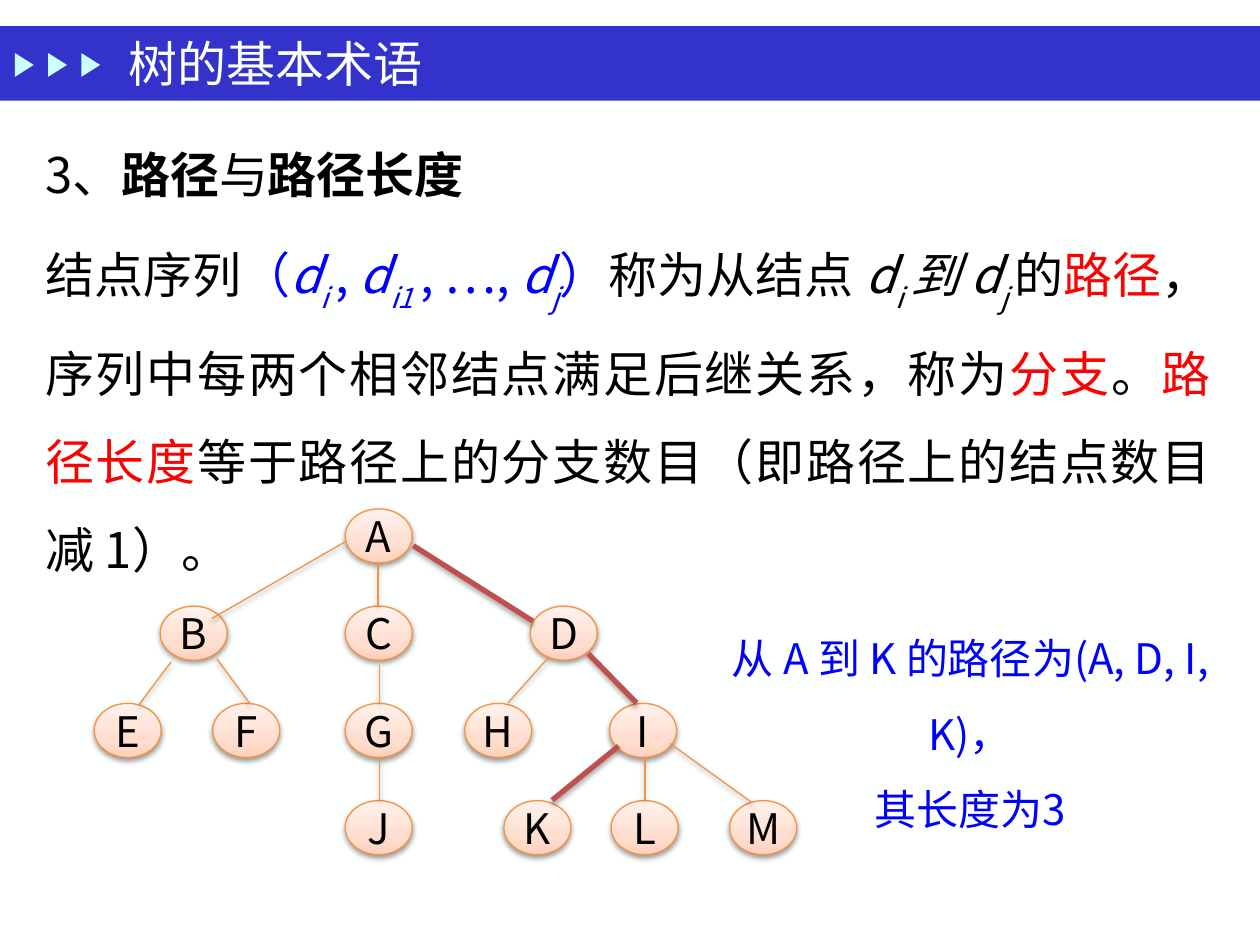
from copy import deepcopy
from dataclasses import dataclass

from lxml import etree
from pptx import Presentation
from pptx.dml.color import RGBColor
from pptx.enum.shapes import MSO_CONNECTOR, MSO_SHAPE
from pptx.enum.text import MSO_ANCHOR, PP_ALIGN
from pptx.oxml.ns import qn
from pptx.util import Cm, Pt

RECTANGLE, TRIANGLE, OVAL = MSO_SHAPE.RECTANGLE, MSO_SHAPE.ISOSCELES_TRIANGLE, MSO_SHAPE.OVAL
STRAIGHT = MSO_CONNECTOR.STRAIGHT
LEFT, CENTER, JUSTIFY = PP_ALIGN.LEFT, PP_ALIGN.CENTER, PP_ALIGN.JUSTIFY
TOP, MIDDLE = MSO_ANCHOR.TOP, MSO_ANCHOR.MIDDLE


@dataclass(frozen=True)
class Theme:
    paper: str = "FEFFFF"
    band: str = "3333CC"
    arrow: str = "CBFFFF"
    ink: str = "000000"
    blue: str = "0000FF"
    red: str = "FF0000"
    branch: str = "F69240"
    route: str = "C0504D"
    node_stops: tuple = ((0, "FFD2BD"), (0.35, "FFDED0"), (1, "FFF2ED"))
    font: str = "Noto Sans CJK SC"
    title_font: str = "Times New Roman"
    large: int = 28
    small: int = 24
    thin: float = 0.75
    thick: float = 3


THEME = Theme()
NODE_WIDTH, NODE_HEIGHT = 1.35, 1.09
TREE_TOP, LEVEL_STEP = 10.26, 1.96

LEVELS = [
    {"A": 6.96},
    {"B": 3.23, "C": 6.96, "D": 10.69},
    {"E": 1.9, "F": 4.29, "G": 6.96, "H": 9.37, "I": 12.29},
    {"J": 6.96, "K": 10.16, "L": 12.32, "M": 14.71},
]
BRANCHES = [
    (6.96, 10.92, 4.27, 12.47),
    (3.45, 13.34, 2.79, 14.22),
    (4.37, 13.28, 5.05, 14.2),
    (7.62, 11.35, 7.62, 12.22),
    (7.65, 13.41, 7.65, 14.17),
    (7.65, 15.27, 7.65, 16.13),
    (11.05, 13.26, 10.24, 14.17),
    (13, 15.27, 13, 16.13),
    (13.51, 14.99, 15.16, 16.18),
]
ROUTE_A_TO_K = [
    (8.33, 11, 10.74, 12.52),
    (11.86, 13.18, 12.83, 14.17),
    (12.47, 15.04, 11.13, 16.13),
]

HEADING = [("3、", {}), ("路径", {"bold": True}), ("与", {}), ("路径长度", {"bold": True})]
BLUE, RED = {"color": THEME.blue}, {"color": THEME.red}
ITALIC, SUBSCRIPT = {"italic": True}, {"italic": True, "subscript": True}
DEFINITION = [
    ("结点序列", {}),
    ("（", BLUE),
    ("d", BLUE | ITALIC),
    ("i ", BLUE | SUBSCRIPT),
    (", ", BLUE),
    ("d", BLUE | ITALIC),
    ("i1 ", BLUE | SUBSCRIPT),
    (", …, ", BLUE),
    ("d", BLUE | ITALIC),
    ("j", BLUE | SUBSCRIPT),
    ("）", BLUE),
    ("称为从结点 ", {}),
    ("d", ITALIC),
    ("i ", SUBSCRIPT),
    ("到 d", ITALIC),
    ("j ", SUBSCRIPT),
    ("的", {}),
    ("路径", RED),
    ("，序列中每两个相邻结点满足后继关系，称为", {}),
    ("分支", RED),
    ("。", {}),
    ("路径长度", RED),
    ("等于路径上的分支数目（即路径上的结点数目减 1）。", {}),
]
EXAMPLE = [[("从 A 到 K 的路径为(A, D, I, K)，", BLUE)], [("其长度为3", BLUE)]]


def rgb(code):
    return RGBColor.from_string(code)


def format_run(run, size, color=THEME.ink, font=THEME.font, bold=False, italic=False, subscript=False):
    run.font.size = Pt(size)
    run.font.name = font
    run.font.bold = bold
    run.font.italic = italic
    run.font.color.rgb = rgb(color)
    properties = run.font._element
    etree.SubElement(properties, qn("a:ea"), typeface=THEME.font)
    if subscript:
        properties.set("baseline", "-30000")


def add_text(slide, box, paragraphs, size, align=LEFT, spacing=1.0, anchor=TOP):
    frame = slide.shapes.add_textbox(*map(Cm, box)).text_frame
    frame.word_wrap = True
    frame.vertical_anchor = anchor
    for index, spans in enumerate(paragraphs):
        paragraph = frame.add_paragraph() if index else frame.paragraphs[0]
        paragraph.alignment = align
        paragraph.line_spacing = spacing
        for text, style in spans:
            run = paragraph.add_run()
            run.text = text
            format_run(run, size, **style)


def add_plain_shape(slide, kind, box, color):
    shape = slide.shapes.add_shape(kind, *map(Cm, box))
    shape.shadow.inherit = False
    shape.fill.solid()
    shape.fill.fore_color.rgb = rgb(color)
    shape.line.fill.background()
    return shape


def cast_shadow(shape, opacity, distance):
    effects = etree.SubElement(shape._element.spPr, qn("a:effectLst"))
    shadow = etree.SubElement(
        effects, qn("a:outerShdw"), blurRad=str(Pt(3.1)), dist=str(Pt(distance)),
        dir="5400000", rotWithShape="0")
    color = etree.SubElement(shadow, qn("a:srgbClr"), val="000000")
    etree.SubElement(color, qn("a:alpha"), val=str(opacity * 1000))


def fill_gradient(shape, stops):
    shape.fill.gradient()
    shape.fill.gradient_angle = 90
    stop_list = shape._element.spPr.find(".//" + qn("a:gsLst"))
    stop_list.insert(1, deepcopy(stop_list[0]))
    for stop, (position, color) in zip(shape.fill.gradient_stops, stops):
        stop.position = position
        stop.color.rgb = rgb(color)


def add_node(slide, letter, left, top):
    node = slide.shapes.add_shape(OVAL, *map(Cm, (left, top, NODE_WIDTH, NODE_HEIGHT)))
    fill_gradient(node, THEME.node_stops)
    node.line.color.rgb = rgb(THEME.branch)
    node.line.width = Pt(THEME.thin)
    cast_shadow(node, 38, 1.6)
    frame = node.text_frame
    frame.text = letter
    frame.word_wrap = False
    frame.vertical_anchor = MIDDLE
    frame.paragraphs[0].alignment = CENTER
    format_run(frame.paragraphs[0].runs[0], THEME.small)


def add_edge(slide, ends, color, width, opacity, distance):
    edge = slide.shapes.add_connector(STRAIGHT, *map(Cm, ends))
    edge.line.color.rgb = rgb(color)
    edge.line.width = Pt(width)
    cast_shadow(edge, opacity, distance)


def add_title_band(slide):
    add_plain_shape(slide, RECTANGLE, (0, 0.53, 25.4, 1.5), THEME.band)
    for index in range(3):
        arrow = add_plain_shape(slide, TRIANGLE, (0.25 + 0.67 * index, 1.12, 0.48, 0.38), THEME.arrow)
        arrow.rotation = 90
    title_style = {"color": THEME.paper, "font": THEME.title_font}
    add_text(slide, (2.34, 0.53, 17.78, 1.47), [[("树的基本术语", title_style)]],
             THEME.large, anchor=MIDDLE)


def add_tree(slide):
    for depth, level in enumerate(LEVELS):
        for letter, left in level.items():
            add_node(slide, letter, left, TREE_TOP + LEVEL_STEP * depth)
    for ends in BRANCHES:
        add_edge(slide, ends, THEME.branch, THEME.thin, 38, 1.6)
    for ends in ROUTE_A_TO_K:
        add_edge(slide, ends, THEME.route, THEME.thick, 35, 1.8)


def main():
    deck = Presentation()
    deck.slide_width, deck.slide_height = Cm(25.4), Cm(19.05)
    slide = deck.slides.add_slide(deck.slide_layouts[6])
    slide.background.fill.solid()
    slide.background.fill.fore_color.rgb = rgb(THEME.paper)
    add_title_band(slide)
    add_text(slide, (0.66, 4.11, 24, 7.24), [DEFINITION], THEME.large, JUSTIFY, 1.5)
    add_tree(slide)
    add_text(slide, (13.72, 12.12, 11.68, 3.15), EXAMPLE, THEME.small, CENTER, 1.5)
    add_text(slide, (0.66, 2.67, 23.19, 1.47), [HEADING], THEME.large, spacing=1.1)
    deck.save("out.pptx")


if __name__ == "__main__":
    main()
